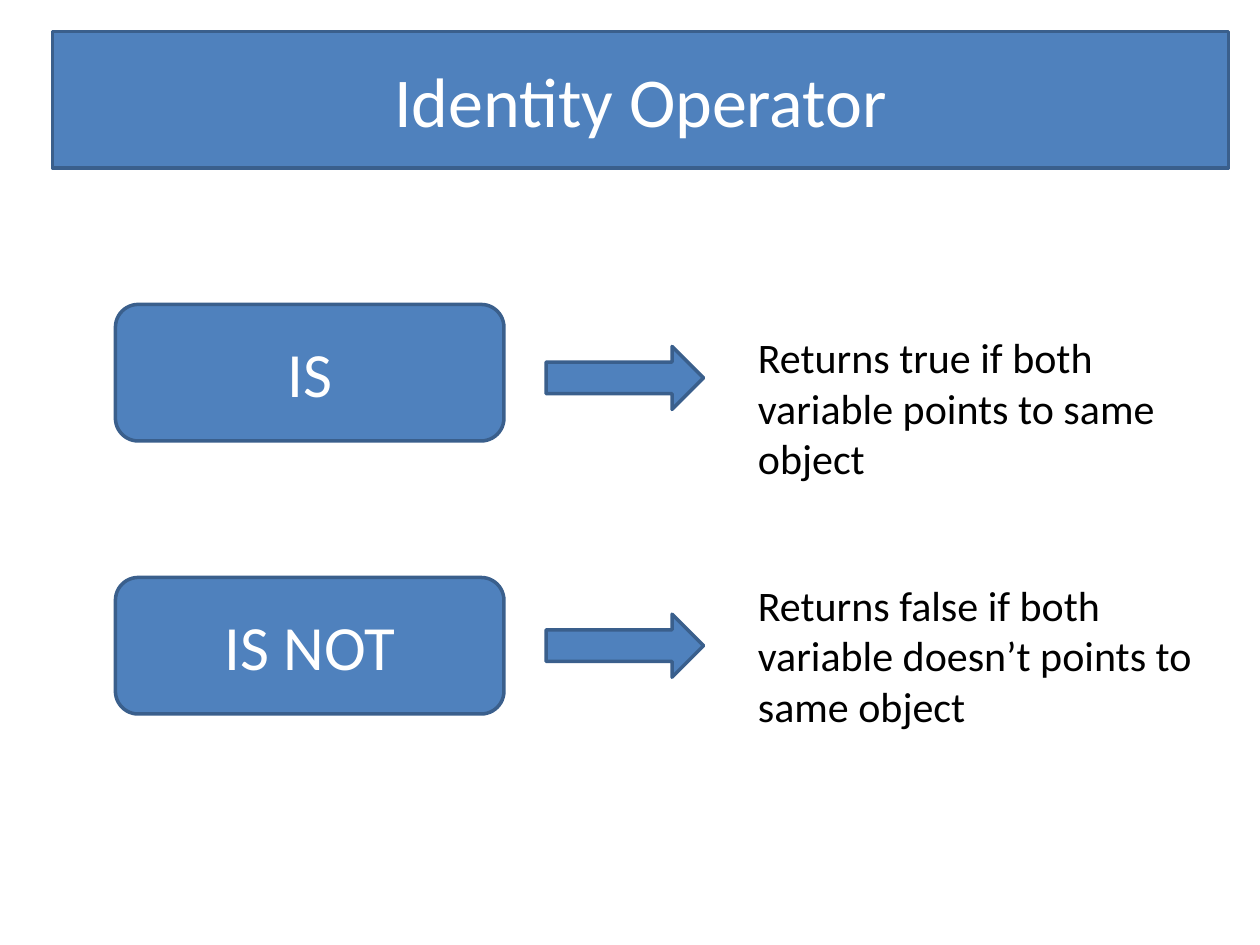
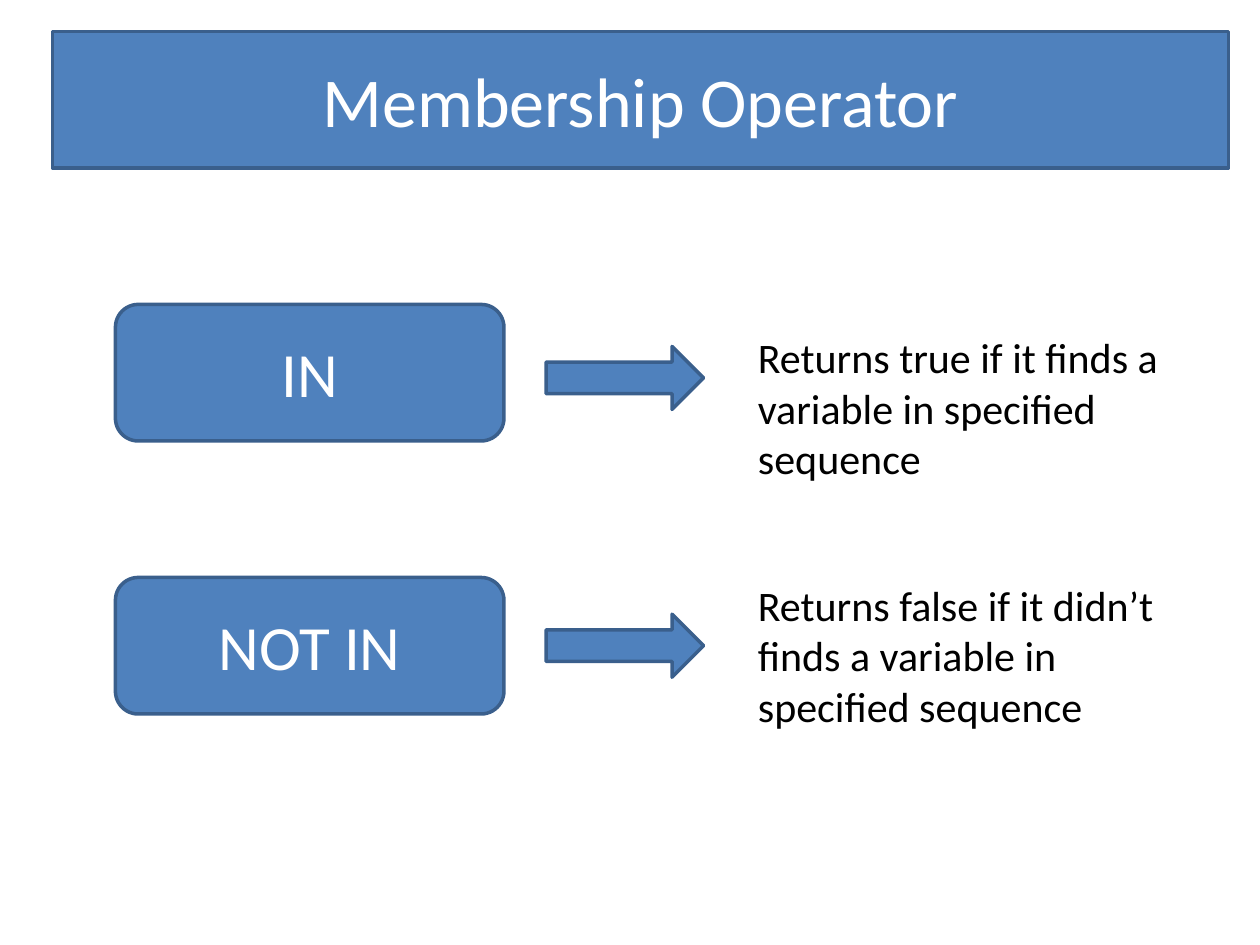
from dataclasses import dataclass

from pptx import Presentation
from pptx.dml.color import RGBColor
from pptx.enum.shapes import MSO_SHAPE
from pptx.enum.text import MSO_ANCHOR, MSO_AUTO_SIZE, PP_ALIGN
from pptx.util import Pt

OPERATOR_SLIDES = [
    ("Identity Operator", [
        ("IS", "Returns true if both variable points to same object"),
        ("IS NOT", "Returns false if both variable doesn’t points to same object"),
    ]),
    ("Membership Operator", [
        ("IN", "Returns true if it finds a variable in specified sequence"),
        ("NOT IN", "Returns false if it didn’t finds a variable in specified sequence"),
    ]),
]


@dataclass(frozen=True)
class Theme:
    font: str = "Calibri"
    fill: RGBColor = RGBColor(0x4F, 0x81, 0xBD)
    outline: RGBColor = RGBColor(0x3A, 0x5F, 0x8C)
    on_fill: RGBColor = RGBColor(0xFF, 0xFF, 0xFF)
    text: RGBColor = RGBColor(0, 0, 0)
    outline_width: int = 2
    title_size: int = 40
    operator_size: int = 36
    meaning_size: int = 24


THEME = Theme()

# left, top, width, height in points
TITLE_BAND = (30, 18, 672, 78)

# left, width, height of each column, and its top in each row
OPERATOR_COLUMN = (66, 222, 78, (174, 330))
ARROW_COLUMN = (312, 90, 36, (198, 351))
MEANING_COLUMN = (426, 264, 94, (186, 327.6))


def cell(column, row):
    left, width, height, tops = column
    return [Pt(value) for value in (left, tops[row], width, height)]


def paint(shape):
    """Give a shape the shared fill and outline."""
    shape.shadow.inherit = False
    shape.fill.solid()
    shape.fill.fore_color.rgb = THEME.fill
    shape.line.color.rgb = THEME.outline
    shape.line.width = Pt(THEME.outline_width)


def write(shape, text, *, size, color=THEME.on_fill, align=PP_ALIGN.CENTER,
          anchor=MSO_ANCHOR.MIDDLE, auto_size=MSO_AUTO_SIZE.NONE):
    frame = shape.text_frame
    frame.text = text
    frame.word_wrap = True
    frame.auto_size = auto_size
    frame.vertical_anchor = anchor
    paragraph = frame.paragraphs[0]
    paragraph.alignment = align
    paragraph.font.name = THEME.font
    paragraph.font.size = Pt(size)
    paragraph.font.color.rgb = color


def add_title(slide, text):
    title = slide.shapes.title
    title.left, title.top, title.width, title.height = map(Pt, TITLE_BAND)
    title.fill.solid()
    title.fill.fore_color.rgb = THEME.fill
    title.line.color.rgb = THEME.outline
    title.line.width = Pt(THEME.outline_width)
    write(title, text, size=THEME.title_size)


def add_operator_row(slide, row, operator, meaning):
    operator_box = slide.shapes.add_shape(
        MSO_SHAPE.ROUNDED_RECTANGLE, *cell(OPERATOR_COLUMN, row))
    paint(operator_box)
    write(operator_box, operator, size=THEME.operator_size)

    paint(slide.shapes.add_shape(MSO_SHAPE.RIGHT_ARROW, *cell(ARROW_COLUMN, row)))

    meaning_box = slide.shapes.add_textbox(*cell(MEANING_COLUMN, row))
    write(meaning_box, meaning, size=THEME.meaning_size, color=THEME.text,
          align=PP_ALIGN.LEFT, anchor=MSO_ANCHOR.TOP,
          auto_size=MSO_AUTO_SIZE.SHAPE_TO_FIT_TEXT)


def main():
    deck = Presentation()
    deck.slide_width, deck.slide_height = Pt(720), Pt(540)
    title_only = deck.slide_layouts.get_by_name("Title Only")
    for title, operators in OPERATOR_SLIDES:
        slide = deck.slides.add_slide(title_only)
        add_title(slide, title)
        for row, (operator, meaning) in enumerate(operators):
            add_operator_row(slide, row, operator, meaning)
    deck.save("out.pptx")


if __name__ == "__main__":
    main()
